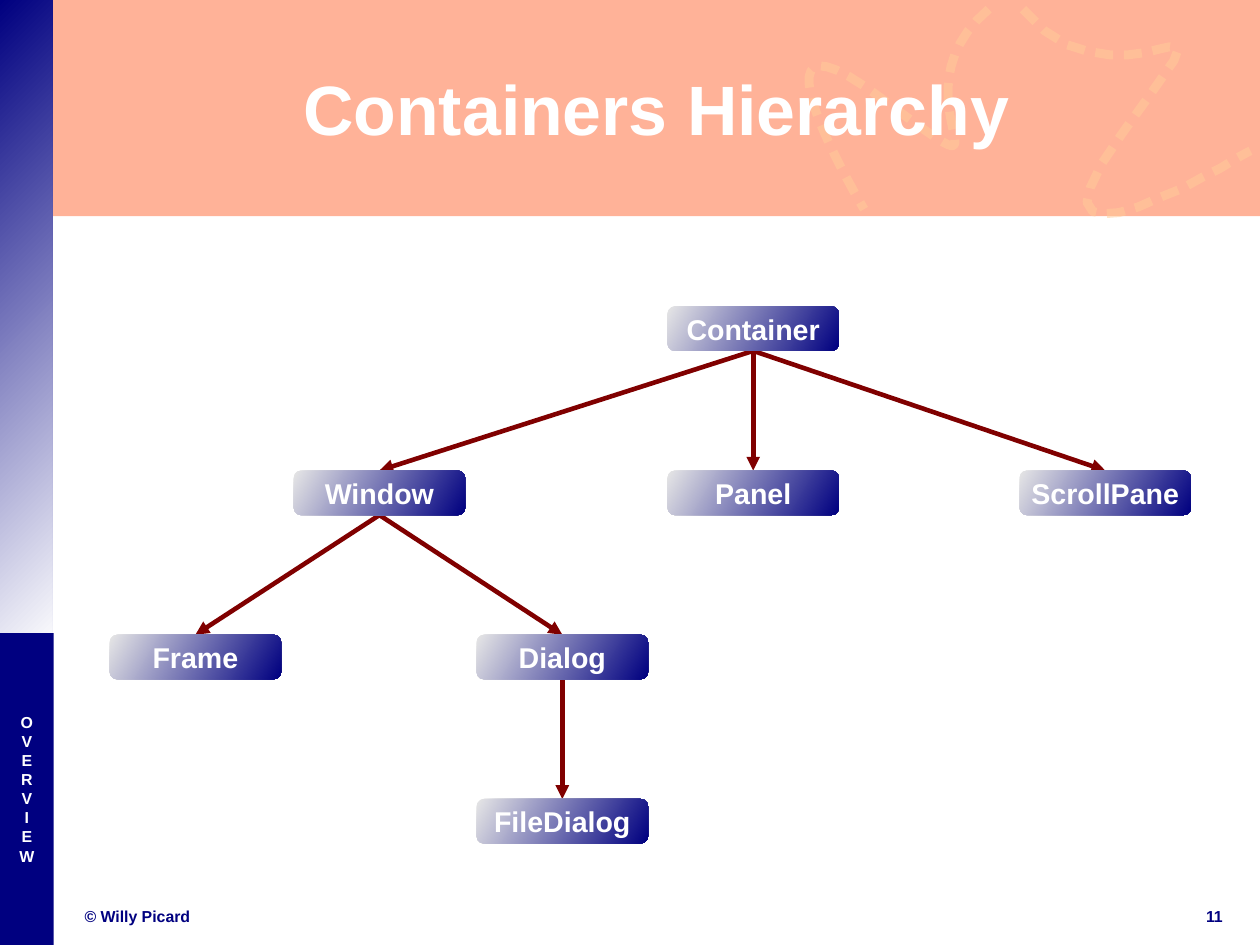
from lxml import etree
from pptx import Presentation
from pptx.dml.color import RGBColor
from pptx.enum.shapes import MSO_CONNECTOR as CONN, MSO_SHAPE as SHAPE
from pptx.enum.text import MSO_ANCHOR as ANCHOR, PP_ALIGN as ALIGN
from pptx.oxml.ns import qn
from pptx.util import Inches, Pt

NAVY = RGBColor(0x00, 0x00, 0x80)
WHITE = RGBColor(0xFF, 0xFF, 0xFF)
ORANGE = RGBColor(0xFF, 0x66, 0x33)
PEACH = RGBColor(0xFF, 0xCC, 0x99)
SILVER = RGBColor(0xE6, 0xE6, 0xE6)
MAROON = RGBColor(0x80, 0x00, 0x00)

# The page is 28 by 21 cm
CM_PER_INCH = 2.54
SLIDE_W, SLIDE_H = 28 / CM_PER_INCH, 21 / CM_PER_INCH
SIDE_W = 0.47
NODE_W, NODE_H = 1.5, 0.39

# Class: (left offset within the tree, level, parent)
CLASSES = {
    "Container": (4.88, 0, None),
    "Window": (1.61, 1, "Container"),
    "Panel": (4.88, 1, "Container"),
    "ScrollPane": (7.96, 1, "Container"),
    "Frame": (0, 2, "Window"),
    "Dialog": (3.21, 2, "Window"),
    "FileDialog": (3.21, 3, "Dialog"),
}

# Swirls of the header: Bezier control points, and a plain outline
LOOP = [
    [(8.65, 0.08), (7.73, 0.86), (9.05, 1.85), (7.71, 0.86)],
    [(7.71, 0.86), (6.38, -0.14), (7.56, 1.83), (7.56, 1.83)],
]
WAVE = [
    (8.95, 0.08), (9.14, 0.27), (9.33, 0.39), (9.52, 0.45), (9.71, 0.48),
    (9.87, 0.48), (10.02, 0.46), (10.14, 0.43), (10.23, 0.41), (10.29, 0.42),
    (10.3, 0.45), (10.27, 0.53), (10.18, 0.66), (10.04, 0.86), (9.83, 1.15),
    (9.64, 1.43), (9.54, 1.64), (9.51, 1.77), (9.56, 1.85), (9.65, 1.87),
    (9.79, 1.86), (9.96, 1.81), (10.14, 1.73), (10.34, 1.65), (10.52, 1.55),
    (10.68, 1.47), (10.81, 1.39), (10.9, 1.34), (10.94, 1.32),
]


def add_block(slide, kind, box, *colours, angle=0):
    """Borderless shape: one colour is solid, two make a gradient."""
    block = slide.shapes.add_shape(kind, *map(Inches, box))
    block.shadow.inherit = False
    block.line.fill.background()
    if len(colours) == 1:
        block.fill.solid()
        block.fill.fore_color.rgb = colours[0]
    else:
        block.fill.gradient()
        block.fill.gradient_angle = 360 - angle
        for stop, colour in zip(block.fill.gradient_stops, colours):
            stop.color.rgb = colour
    return block


def halve_opacity(fill):
    colour = fill._xPr.find(qn("a:solidFill"))[0]
    etree.SubElement(colour, qn("a:alpha"), val="50000")


def write(shape, lines, size, colour, align=ALIGN.CENTER, spacing=None):
    frame = shape.text_frame
    frame.margin_left = frame.margin_right = 0
    frame.margin_top = frame.margin_bottom = 0
    frame.word_wrap = True
    frame.vertical_anchor = ANCHOR.MIDDLE
    frame.text = "\n".join(lines)
    for paragraph in frame.paragraphs:
        paragraph.alignment = align
        paragraph.line_spacing = spacing
        font = paragraph.font
        font.name, font.size, font.bold = "Arial", Pt(size), True
        font.color.rgb = colour


def bezier(controls, steps=24):
    weights = (1, 3, 3, 1)
    for step in range(steps + 1):
        t = step / steps
        yield tuple(
            sum(w * (1 - t) ** (3 - i) * t ** i * controls[i][axis]
                for i, w in enumerate(weights))
            for axis in (0, 1))


def add_swirl(slide, points):
    start, *rest = [(Inches(x), Inches(y)) for x, y in points]
    builder = slide.shapes.build_freeform(*start)
    builder.add_line_segments(rest, close=False)
    swirl = builder.convert_to_shape()
    swirl.shadow.inherit = False
    swirl.fill.background()
    swirl.line.width = Pt(5.67)
    swirl.line.color.rgb = PEACH
    halve_opacity(swirl.line.fill)
    dashes = etree.SubElement(swirl.line._get_or_add_ln(), qn("a:custDash"))
    etree.SubElement(dashes, qn("a:ds"), d="200000", sp="120000")


def add_header(slide, box):
    band = add_block(slide, SHAPE.RECTANGLE, box, ORANGE)
    halve_opacity(band.fill)


def add_sidebar(slide, box):
    left, top, width, height = box
    label_top = 5.54
    add_block(slide, SHAPE.RECTANGLE, (left, top, width - 0.01, 5.72),
              NAVY, WHITE, angle=45)
    section = add_block(slide, SHAPE.RECTANGLE,
                        (left, label_top, width, top + height - label_top), NAVY)
    write(section, "OVERVIEW", 10, WHITE, spacing=Pt(12))


def add_title(slide, box):
    title = slide.shapes.title
    title.left, title.top, title.width, title.height = map(Inches, box)
    write(title, ["Containers Hierarchy"], 44, WHITE)
    # Bring the title in front of the header band
    slide.shapes._spTree.append(title._element)


def add_footer(slide, box):
    left, top, width, height = box
    number_w = 0.33
    for text, x, w, align in (
            ("© Willy Picard", left, 4.47, ALIGN.LEFT),
            ("11", left + width - number_w, number_w, ALIGN.CENTER)):
        note = slide.shapes.add_textbox(*map(Inches, (x, top, w, height)))
        write(note, [text], 10, NAVY, align)


def add_arrow(slide, parent, child):
    arrow = slide.shapes.add_connector(CONN.STRAIGHT, 0, 0, 0, 0)
    arrow.begin_connect(parent, 2)
    arrow.end_connect(child, 0)
    arrow.line.color.rgb = MAROON
    arrow.line.width = Pt(2.89)
    etree.SubElement(arrow.line._get_or_add_ln(), qn("a:tailEnd"), type="triangle")
    etree.SubElement(arrow._element.spPr, qn("a:effectLst"))


def add_class_tree(slide, box):
    left, top, _, height = box
    levels = max(level for _, level, _ in CLASSES.values())
    pitch = (height - NODE_H) / levels
    nodes = {}
    for name, (offset, level, _) in CLASSES.items():
        place = (left + offset, top + level * pitch, NODE_W, NODE_H)
        nodes[name] = add_block(slide, SHAPE.ROUNDED_RECTANGLE, place,
                                SILVER, NAVY, angle=30)
        write(nodes[name], [name], 18, WHITE)
    for name, (_, _, parent) in CLASSES.items():
        if parent:
            add_arrow(slide, nodes[parent], nodes[name])
    # Nodes lie over the arrow ends
    for node in nodes.values():
        slide.shapes._spTree.append(node._element)


def main():
    deck = Presentation()
    deck.slide_width, deck.slide_height = Inches(SLIDE_W), Inches(SLIDE_H)
    slide = deck.slides.add_slide(deck.slide_layouts[5])

    add_header(slide, (0, 0, SLIDE_W, 1.89))
    add_sidebar(slide, (0, 0, SIDE_W, SLIDE_H))
    add_swirl(slide, [point for curve in LOOP for point in bezier(curve)])
    add_swirl(slide, WAVE)
    add_footer(slide, (0.74, 7.92, 10.05, 0.19))
    add_class_tree(slide, (0.96, 2.68, 9.46, 4.7))
    add_title(slide, (SIDE_W, 0.25, SLIDE_W - SIDE_W, 1.38))

    deck.save("out.pptx")


if __name__ == "__main__":
    main()
